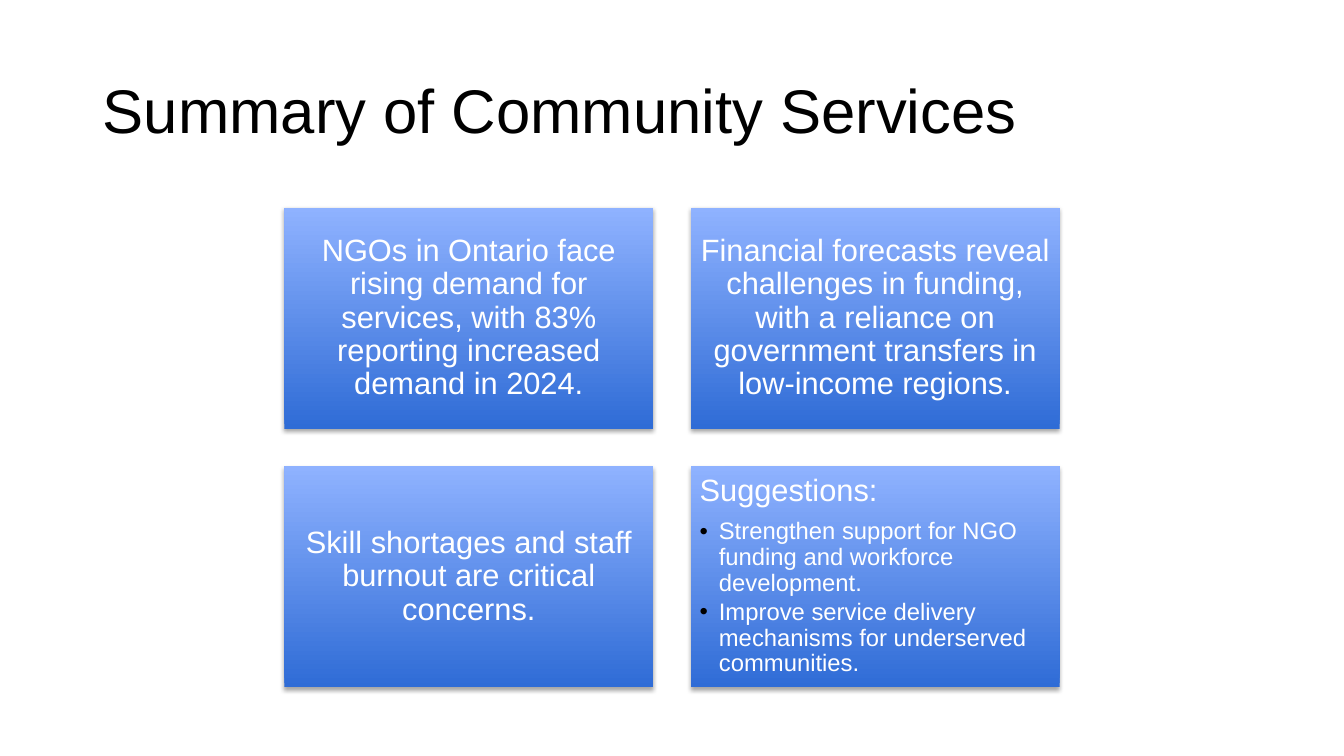
import dataclasses

import lxml.etree
import pptx
import pptx.dml.color
import pptx.enum.shapes
import pptx.enum.text
import pptx.oxml.ns
import pptx.util

Inches = pptx.util.Inches
Pt = pptx.util.Pt
RGB = pptx.dml.color.RGBColor.from_string
Align = pptx.enum.text.PP_ALIGN
Anchor = pptx.enum.text.MSO_ANCHOR
qn = pptx.oxml.ns.qn


@dataclasses.dataclass(frozen=True)
class Theme:
    font: str = "Arial"
    ink: str = "000000"
    paper: str = "FFFFFF"
    card_bottom: str = "2F6CD6"
    card_top: str = "8FB2FF"
    title_size: float = 44
    card_size: float = 22
    bullet_size: float = 17
    line_spacing: float = 0.9


THEME = Theme()

STATEMENTS = [
    "NGOs in Ontario face rising demand for services, with 83% reporting increased demand in 2024.",
    "Financial forecasts reveal challenges in funding, with a reliance on government transfers in low-income regions.",
    "Skill shortages and staff burnout are critical concerns.",
]
SUGGESTIONS = [
    ("Strengthen support for NGO funding and workforce development.", 7.7),
    ("Improve service delivery mechanisms for underserved communities.", 2.5),
]


def add_element(parent, tag, **attributes):
    child = lxml.etree.SubElement(parent, qn(tag))
    for key, value in attributes.items():
        child.set(key, str(value))
    return child


def write_text(frame, text, size, color, align=Align.LEFT, before=None, bullet=False):
    paragraph = frame.paragraphs[0] if not frame.text else frame.add_paragraph()
    if bullet:
        paragraph.level = 1
        properties = paragraph._p.get_or_add_pPr()
        indent = Inches(0.19)
        properties.set("marL", str(indent))
        properties.set("indent", str(-indent))
        bullet_color = add_element(properties, "a:buClr")
        add_element(bullet_color, "a:srgbClr", val=THEME.ink)
        add_element(properties, "a:buFont", typeface=THEME.font)
        add_element(properties, "a:buChar", char="•")
    paragraph.alignment = align
    paragraph.line_spacing = THEME.line_spacing
    if before is not None:
        paragraph.space_before = Pt(before)
    run = paragraph.add_run()
    run.text = text
    run.font.name = THEME.font
    run.font.size = Pt(size)
    run.font.color.rgb = RGB(color)


def add_shadow(card):
    card.shadow.inherit = False
    effects = card._element.spPr.find(qn("a:effectLst"))
    shadow = add_element(effects, "a:outerShdw", blurRad=Pt(3.1), dist=Pt(1.8),
                         dir=90 * 60000, rotWithShape=0)
    shade = add_element(shadow, "a:srgbClr", val=THEME.ink)
    add_element(shade, "a:alpha", val=35000)


def add_card(slide, left, top, width, height, anchor=Anchor.MIDDLE):
    card = slide.shapes.add_shape(
        pptx.enum.shapes.MSO_SHAPE.RECTANGLE,
        Inches(left), Inches(top), Inches(width), Inches(height))
    card.fill.gradient()
    card.fill.gradient_angle = 90
    for stop, color in zip(card.fill.gradient_stops, (THEME.card_bottom, THEME.card_top)):
        stop.color.rgb = RGB(color)
    card.line.fill.background()
    add_shadow(card)
    frame = card.text_frame
    frame.word_wrap = True
    frame.vertical_anchor = anchor
    frame.margin_left = frame.margin_right = Inches(0.09)
    frame.margin_top = frame.margin_bottom = Inches(0.09)
    return frame


def place_title(slide, left, top, width, height):
    title = slide.shapes.title
    title.left, title.top = Inches(left), Inches(top)
    title.width, title.height = Inches(width), Inches(height)
    title.text_frame.vertical_anchor = Anchor.MIDDLE
    write_text(title.text_frame, "Summary of Community Services",
               size=THEME.title_size, color=THEME.ink)


def place_summary(slide, left, top, width, height, gap=0.37):
    card_width = (width - gap) / 2
    card_height = (height - gap) / 2
    cells = [(left + column * (card_width + gap), top + row * (card_height + gap),
              card_width, card_height)
             for row in range(2) for column in range(2)]
    for statement, cell in zip(STATEMENTS, cells):
        write_text(add_card(slide, *cell), statement, size=THEME.card_size,
                   color=THEME.paper, align=Align.CENTER)
    suggestions = add_card(slide, *cells[-1], anchor=Anchor.TOP)
    write_text(suggestions, "Suggestions:", size=THEME.card_size, color=THEME.paper)
    for suggestion, before in SUGGESTIONS:
        write_text(suggestions, suggestion, size=THEME.bullet_size,
                   color=THEME.paper, before=before, bullet=True)


def main():
    deck = pptx.Presentation()
    deck.slide_width, deck.slide_height = Inches(13.33), Inches(7.5)
    slide = deck.slides.add_slide(deck.slide_layouts.get_by_name("Title Only"))
    slide.background.fill.solid()
    slide.background.fill.fore_color.rgb = RGB(THEME.paper)
    place_title(slide, 0.92, 0.4, 11.5, 1.45)
    place_summary(slide, 2.82, 2.06, 7.69, 4.76)
    deck.save("out.pptx")


if __name__ == "__main__":
    main()
